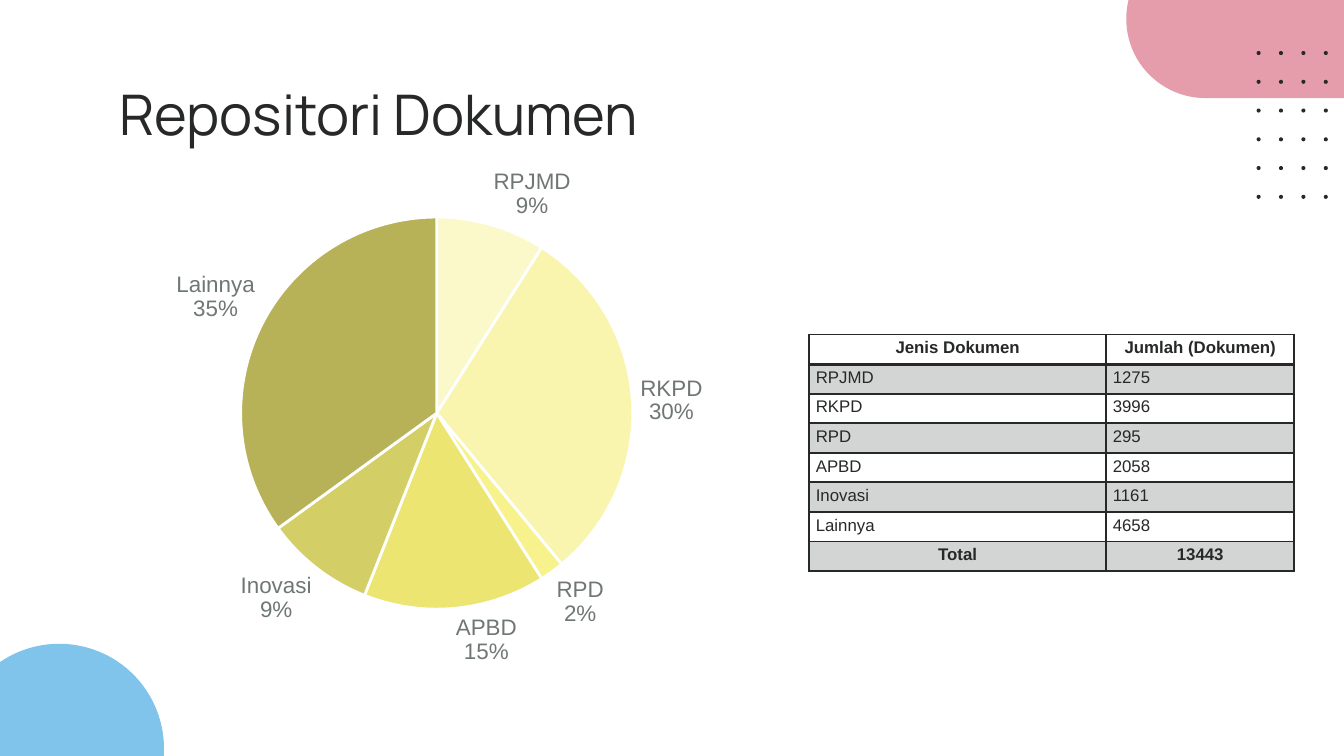
from dataclasses import dataclass

from lxml import etree
from pptx import Presentation
from pptx.chart.data import CategoryChartData
from pptx.dml.color import RGBColor
from pptx.enum import chart as ch, shapes, text
from pptx.oxml import ns, parse_xml
from pptx.util import Inches, Pt


@dataclass(frozen=True)
class Theme:
    ink: str = "262928"
    pink: str = "E59CAB"
    blue: str = "80C3EB"
    label: str = "6F7774"
    white: str = "FFFFFF"
    heading_font: str = "Manrope"
    body_font: str = "Arial"
    title_size: int = 30
    label_size: int = 12
    chart_size: int = 10
    table_size: int = 9
    band_opacity: int = 20


@dataclass(frozen=True)
class Decoration:
    preset: shapes.MSO_SHAPE
    left: float
    top: float
    width: float
    height: float
    color: str
    rotation: int = 0


@dataclass(frozen=True)
class DocumentType:
    name: str
    count: int
    percent: int
    color: str


THEME = Theme()
DOCUMENTS = [
    DocumentType("RPJMD", 1275, 9, "FBF8CA"),
    DocumentType("RKPD", 3996, 30, "F9F5AF"),
    DocumentType("RPD", 295, 2, "F8F28D"),
    DocumentType("APBD", 2058, 15, "ECE572"),
    DocumentType("Inovasi", 1161, 9, "D4CE66"),
    DocumentType("Lainnya", 4658, 35, "B7B258"),
]
PILL, DOT = shapes.MSO_SHAPE.ROUNDED_RECTANGLE, shapes.MSO_SHAPE.OVAL
DECORATIONS = [
    Decoration(PILL, 8.38, -0.45, 2.58, 1.18, THEME.pink),
    Decoration(PILL, -0.85, 5.3, 2.58, 1.56, THEME.blue, 90),
] + [
    Decoration(DOT, 9.35 + col * 0.5 / 3, 0.38 + row * 1.07 / 5, 0.03, 0.03, THEME.ink)
    for col in range(4) for row in range(6)
]


def rgb(color: str) -> RGBColor:
    return RGBColor.from_string(color)


def style_font(font, name: str, size: int, color: str, bold: bool = False) -> None:
    font.name, font.size, font.bold = name, Pt(size), bold
    font.color.rgb = rgb(color)


def draw_decoration(slide, item: Decoration) -> None:
    shape = slide.shapes.add_shape(
        item.preset, Inches(item.left), Inches(item.top),
        Inches(item.width), Inches(item.height))
    if item.preset == PILL:
        shape.adjustments[0] = 0.5
    shape.rotation = item.rotation
    shape.shadow.inherit = False
    shape.fill.solid()
    shape.fill.fore_color.rgb = rgb(item.color)
    shape.line.fill.background()


def write_title(slide, wording: str) -> None:
    title = slide.shapes.title
    title.left, title.top = Inches(0.79), Inches(0.49)
    title.width, title.height = Inches(8.43), Inches(0.63)
    frame = title.text_frame
    frame.auto_size = text.MSO_AUTO_SIZE.NONE
    frame.vertical_anchor = text.MSO_ANCHOR.TOP
    frame.margin_left = frame.margin_right = Inches(0.1)
    frame.margin_top = frame.margin_bottom = Inches(0.1)
    paragraph = frame.paragraphs[0]
    paragraph.alignment = text.PP_ALIGN.LEFT
    run = paragraph.add_run()
    run.text = wording
    style_font(run.font, THEME.heading_font, THEME.title_size, THEME.ink)


def fix_plot_area(chart, x: float, y: float, width: float, height: float) -> None:
    """Place the pie itself, in fractions of the chart, leaving room for labels."""
    plot_area = chart._chartSpace.chart.plotArea
    for old in plot_area.findall(ns.qn("c:layout")):
        plot_area.remove(old)
    plot_area.insert(0, parse_xml(
        f'<c:layout {ns.nsdecls("c")}><c:manualLayout><c:layoutTarget val="inner"/>'
        '<c:xMode val="edge"/><c:yMode val="edge"/>'
        f'<c:x val="{x}"/><c:y val="{y}"/><c:w val="{width}"/><c:h val="{height}"/>'
        '</c:manualLayout></c:layout>'))


def draw_pie(slide) -> None:
    data = CategoryChartData()
    data.categories = [document.name for document in DOCUMENTS]
    data.add_series("Series 1", [document.percent for document in DOCUMENTS])
    chart = slide.shapes.add_chart(
        ch.XL_CHART_TYPE.PIE, Inches(0.21), Inches(1.08),
        Inches(6.08), Inches(3.99), data).chart
    chart.has_legend = chart.has_title = False
    style_font(chart.font, THEME.body_font, THEME.chart_size, THEME.ink)
    fix_plot_area(chart, 0.26, 0.13, 0.48, 0.74)
    plot = chart.plots[0]
    plot.vary_by_categories = True
    for index, document in enumerate(DOCUMENTS):
        piece = plot.series[0].points[index].format
        piece.fill.solid()
        piece.fill.fore_color.rgb = rgb(document.color)
        piece.line.color.rgb = rgb(THEME.white)
        piece.line.width = Pt(1.5)
    labels = plot.series[0].data_labels
    labels.show_value = False
    labels.show_category_name = labels.show_percentage = True
    labels.number_format, labels.number_format_is_linked = "0%", False
    labels.position = ch.XL_LABEL_POSITION.OUTSIDE_END
    style_font(labels.font, THEME.body_font, THEME.label_size, THEME.label)
    separator = etree.Element(ns.qn("c:separator"))
    separator.text = "\n"
    labels._element.find(ns.qn("c:showBubbleSize")).addnext(separator)


def set_borders(cell, bottom: float) -> None:
    for side, width in (("L", 1), ("R", 1), ("T", 1), ("B", bottom)):
        cell._tc.get_or_add_tcPr().append(parse_xml(
            f'<a:ln{side} {ns.nsdecls("a")} w="{Pt(width)}"><a:solidFill>'
            f'<a:srgbClr val="{THEME.ink}"/></a:solidFill></a:ln{side}>'))


def fill_cell(cell, banded: bool) -> None:
    if not banded:
        cell.fill.background()
        return
    cell.fill.solid()
    cell.fill.fore_color.rgb = rgb(THEME.ink)
    color = cell._tc.tcPr.find(ns.qn("a:solidFill"))[0]
    etree.SubElement(color, ns.qn("a:alpha"), val=str(THEME.band_opacity * 1000))


def draw_table(slide) -> None:
    total = sum(document.count for document in DOCUMENTS)
    rows = [("Jenis Dokumen", "Jumlah (Dokumen)"),
            *((document.name, str(document.count)) for document in DOCUMENTS),
            ("Total", str(total))]
    table = slide.shapes.add_table(
        len(rows), 2, Inches(6.02), Inches(2.49), Inches(3.61), Inches(1.76)).table
    table.first_row = table.horz_banding = False
    table.columns[0].width, table.columns[1].width = Inches(2.21), Inches(1.4)
    for row, wordings in enumerate(rows):
        table.rows[row].height = Inches(0.22)
        emphasised = row in (0, len(rows) - 1)
        for column, wording in enumerate(wordings):
            cell = table.cell(row, column)
            cell.margin_left = cell.margin_right = Inches(0.05)
            cell.margin_top = cell.margin_bottom = Inches(0.03)
            set_borders(cell, bottom=2 if row == 0 else 1)
            fill_cell(cell, banded=row % 2 == 1)
            paragraph = cell.text_frame.paragraphs[0]
            paragraph.alignment = (
                text.PP_ALIGN.CENTER if emphasised else text.PP_ALIGN.LEFT)
            run = paragraph.add_run()
            run.text = wording
            style_font(run.font, THEME.body_font, THEME.table_size, THEME.ink, emphasised)


def main() -> None:
    deck = Presentation()
    deck.slide_width, deck.slide_height = Inches(10), Inches(10 * 9 / 16)
    slide = deck.slides.add_slide(deck.slide_layouts[5])
    for item in DECORATIONS:
        draw_decoration(slide, item)
    write_title(slide, "Repositori Dokumen")
    draw_pie(slide)
    draw_table(slide)
    deck.save("out.pptx")


if __name__ == "__main__":
    main()
